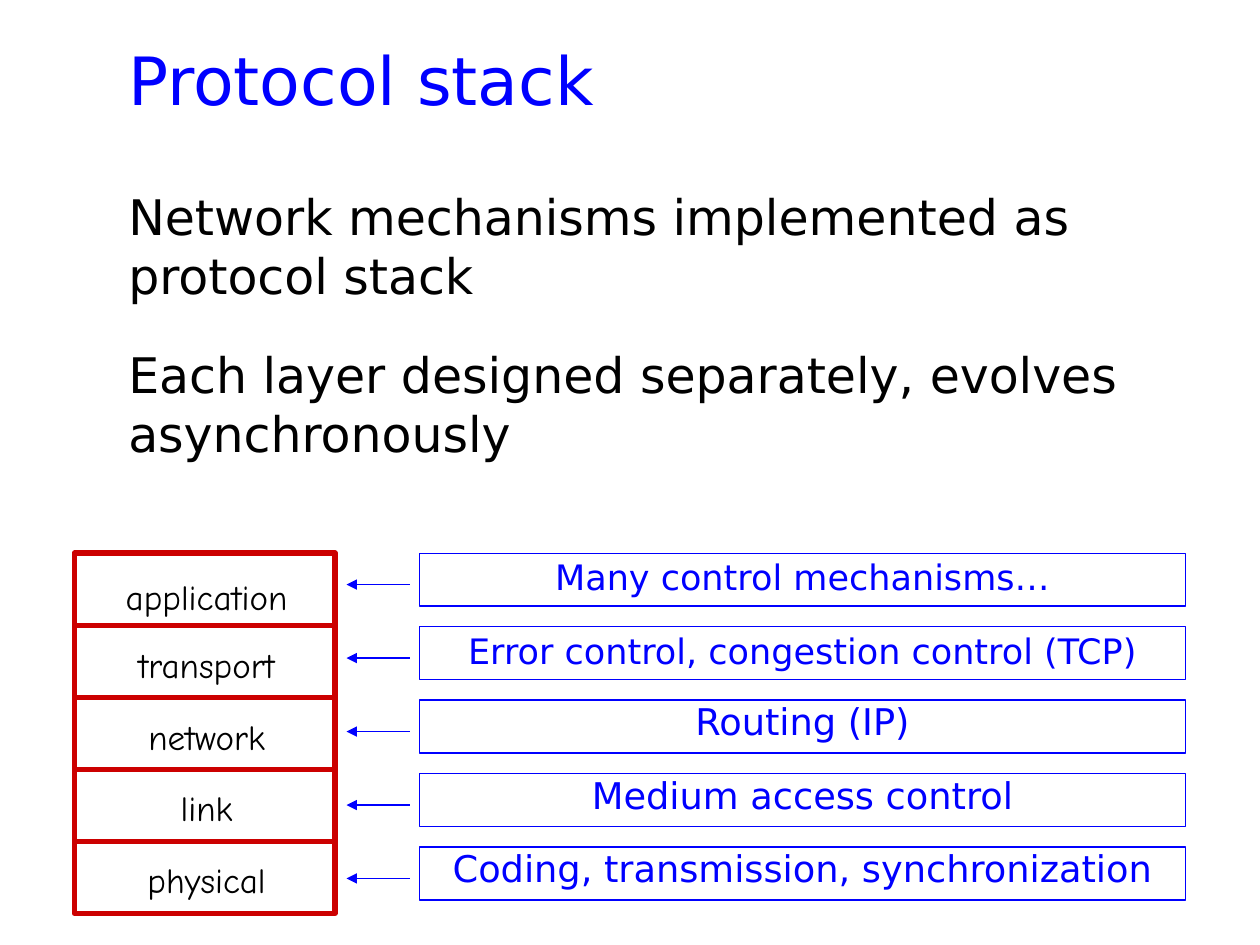
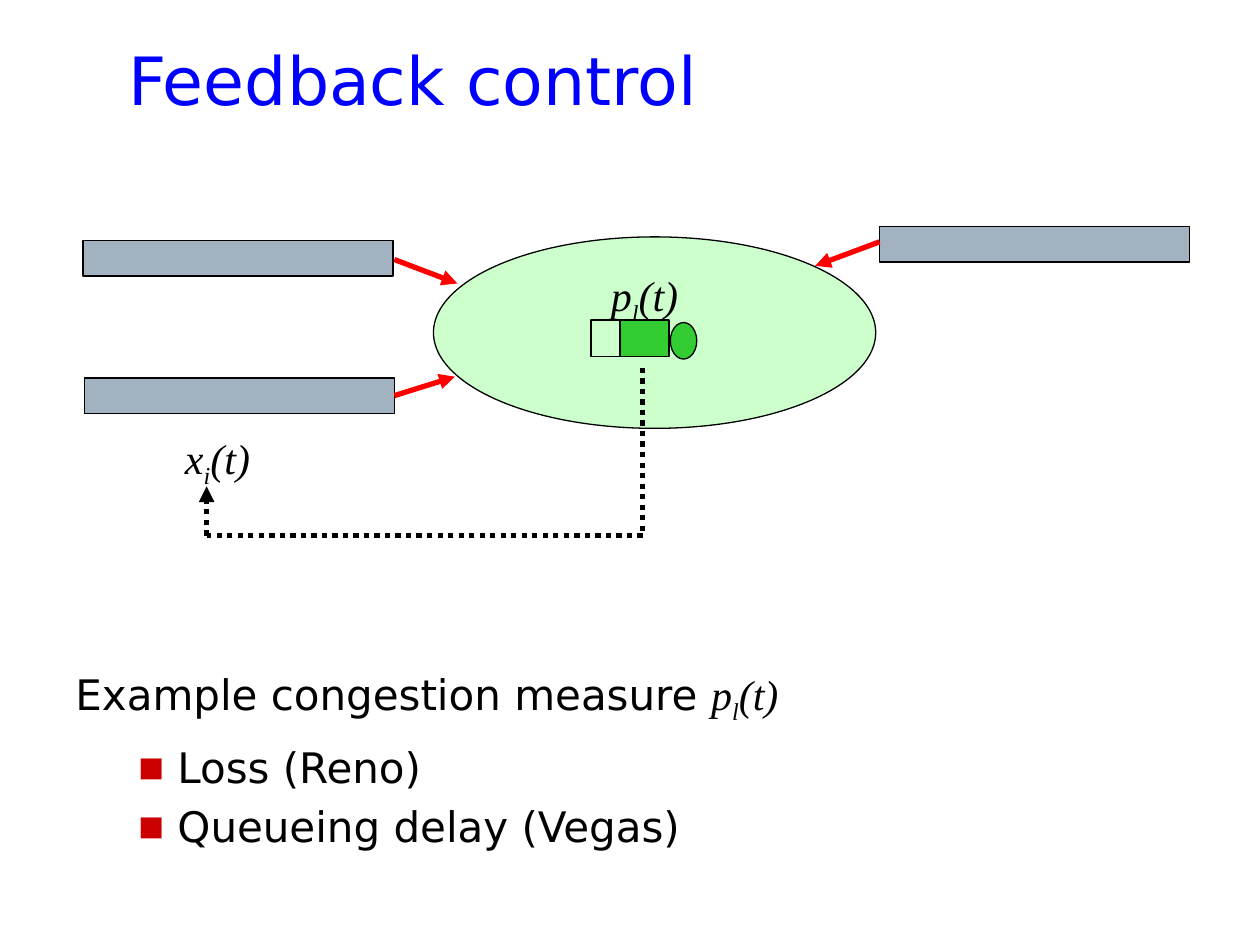
from pptx import Presentation
from pptx.dml.color import RGBColor
from pptx.enum.dml import MSO_LINE
from pptx.enum.shapes import MSO_CONNECTOR, MSO_SHAPE
from pptx.enum.text import MSO_ANCHOR, PP_ALIGN
from pptx.oxml.ns import qn
from pptx.util import Inches, Pt
from lxml import etree

RECT, OVAL = MSO_SHAPE.RECTANGLE, MSO_SHAPE.OVAL
STRAIGHT, DOTTED = MSO_CONNECTOR.STRAIGHT, MSO_LINE.ROUND_DOT
LEFT, CENTER = PP_ALIGN.LEFT, PP_ALIGN.CENTER
TOP, MIDDLE = MSO_ANCHOR.TOP, MSO_ANCHOR.MIDDLE

COLS, ROWS = 100, 75
SANS, HAND, MATH = "DejaVu Sans", "Comic Neue", "Times New Roman"
BLACK, WHITE, BLUE, RED = "000000", "FFFFFF", "0000FF", "FF0000"
CRIMSON, STEEL, MINT, GREEN = "CC0000", "A3B2C1", "CCFFCC", "33CC33"
LEADING = 1.205


def rgb(color):
    return RGBColor.from_string(color)


class Deck:
    def __init__(self):
        self.prs = Presentation()
        self.prs.slide_width, self.prs.slide_height = Inches(10), Inches(7.5)
        self.col = self.prs.slide_width / COLS
        self.row = self.prs.slide_height / ROWS

    def x(self, cols):
        return round(cols * self.col)

    def y(self, rows):
        return round(rows * self.row)

    def box(self, left, top, width, height):
        return self.x(left), self.y(top), self.x(width), self.y(height)

    def slide(self, title):
        self.s = self.prs.slides.add_slide(self.prs.slide_layouts[6])
        self.text([title], 9.2, 2.6, 88.3, 9.2, 38, color=BLUE)

    def style(self, r, size, font, color):
        r.font.size, r.font.name = Pt(size), font
        r.font.color.rgb = rgb(color)

    def label(self, sp, lines, size, font=SANS, color=BLACK, align=LEFT,
              anchor=TOP, leading=LEADING, gaps=()):
        tf = sp.text_frame
        tf.word_wrap, tf.vertical_anchor = True, anchor
        for i, line in enumerate(lines):
            p = tf.add_paragraph() if i else tf.paragraphs[0]
            p.text, p.alignment = line, align
            if leading:
                p.line_spacing = Pt(round(size * leading, 1))
            p.space_before = Pt(gaps[i - 1] if i else 0)
            for r in p.runs:
                self.style(r, size, font, color)
        return tf

    def text(self, lines, left, top, width, height, size, **look):
        sp = self.s.shapes.add_textbox(*self.box(left, top, width, height))
        return self.label(sp, lines, size, **look)

    def formula(self, p, symbol, index, size=24):
        for part in (symbol, index, "(t)"):
            r = p.add_run()
            r.text = part
            self.style(r, size, MATH, BLACK)
            r.font.italic = True
            if part == index:
                r.font._element.set("baseline", "-25000")

    def bullet(self, p, indent, hang):
        pPr = p._p.get_or_add_pPr()
        pPr.set("marL", str(self.x(indent)))
        pPr.set("indent", str(-self.x(hang)))
        clr = etree.SubElement(pPr, qn("a:buClr"))
        etree.SubElement(clr, qn("a:srgbClr"), val=CRIMSON)
        etree.SubElement(pPr, qn("a:buSzPct"), val="65000")
        etree.SubElement(pPr, qn("a:buFont"), typeface=SANS)
        etree.SubElement(pPr, qn("a:buChar"), char="■")

    def shape(self, kind, left, top, width, height, fill=None, line=BLACK, weight=0.75):
        sp = self.s.shapes.add_shape(kind, *self.box(left, top, width, height))
        sp.shadow.inherit = False
        if fill:
            sp.fill.solid()
            sp.fill.fore_color.rgb = rgb(fill)
        else:
            sp.fill.background()
        sp.line.color.rgb, sp.line.width = rgb(line), Pt(weight)
        return sp

    def line(self, start, end, color, weight=3, dash=None, arrow=False):
        (x1, y1), (x2, y2) = start, end
        sp = self.s.shapes.add_connector(
            STRAIGHT, self.x(x1), self.y(y1), self.x(x2), self.y(y2))
        sp.line.color.rgb, sp.line.width = rgb(color), Pt(weight)
        if dash:
            sp.line.dash_style = dash
        if arrow:
            etree.SubElement(sp.line._get_or_add_ln(), qn("a:tailEnd"), type="triangle")
        etree.SubElement(sp._element.spPr, qn("a:effectLst"))


def protocol_stack(deck):
    deck.slide("Protocol stack")
    deck.text(["Network mechanisms implemented as protocol stack",
               "Each layer designed separately, evolves asynchronously"],
              9.2, 14.3, 88.3, 25.8, 28, gaps=[23])

    layers = ["application", "transport", "network", "link", "physical"]
    top, height = 43.9, 28.6
    deck.shape(RECT, 5.9, top, 20.7, height, WHITE, CRIMSON, 3)
    deck.text(layers, 8.5, 45.2, 15.8, 26.7, 20, font=HAND, align=CENTER,
              gaps=[14.5, 16.9, 16.9, 16.9])
    for i in range(1, len(layers)):
        y = top + i * height / len(layers)
        deck.line((5.8, y), (26.5, y), CRIMSON)

    mechanisms = [("Many control mechanisms…", 20, 1.04),
                  ("Error control, congestion control (TCP)", 20, 1.04),
                  ("Routing (IP)", 21, 0.89),
                  ("Medium access control", 21, 0.89),
                  ("Coding, transmission, synchronization", 21, 0.89)]
    for i, (name, size, leading) in enumerate(mechanisms):
        y = top + i * 5.83
        sp = deck.shape(RECT, 33.3, y, 60.8, 4.2, line=BLUE)
        deck.label(sp, [name], size, color=BLUE, align=CENTER, anchor=MIDDLE,
                   leading=leading)
        deck.line((32.5, y + 2.5), (27.5, y + 2.5), BLUE, 0.75, arrow=True)


def feedback_control(deck):
    deck.slide("Feedback control")
    deck.shape(OVAL, 34.4, 18.8, 35.1, 15.2, MINT)
    sources = [((6.6, 19.1), (31.3, 20.6), (36.3, 22.5)),
               ((69.8, 18), (69.8, 19.2), (64.7, 21.1)),
               ((6.7, 30), (31.3, 31.4), (36.1, 29.9))]
    for corner, start, end in sources:
        deck.shape(RECT, *corner, 24.6, 2.8, STEEL)
        deck.line(start, end, RED, arrow=True)

    for symbol, index, left, top in [("x", "i", 13.7, 33.8), ("p", "l", 47.5, 20.9)]:
        tf = deck.text([""], left, top, 9, 5, 24, leading=None)
        deck.formula(tf.paragraphs[0], symbol, index)

    deck.shape(RECT, 46.9, 25.4, 6.1, 2.9)
    deck.shape(OVAL, 53.2, 25.6, 2.1, 2.9, GREEN)
    deck.shape(RECT, 49.2, 25.4, 3.9, 2.9, GREEN)

    loop = [(51, 29.2), (51, 42.5), (16.4, 42.5), (16.4, 38.6)]
    for start, end in zip(loop, loop[1:]):
        deck.line(start, end, BLACK, dash=DOTTED, arrow=end == loop[-1])

    tf = deck.text(["Example congestion measure ", "Loss (Reno)", "Queueing delay (Vegas)"],
                   5, 53.1, 90.9, 19.3, 24, gaps=[8.8, 4.8])
    measure, *examples = tf.paragraphs
    deck.formula(measure, "p", "l")
    for p in examples:
        deck.bullet(p, 8.1, 3.1)


def main():
    deck = Deck()
    protocol_stack(deck)
    feedback_control(deck)
    deck.prs.save("out.pptx")


if __name__ == "__main__":
    main()
